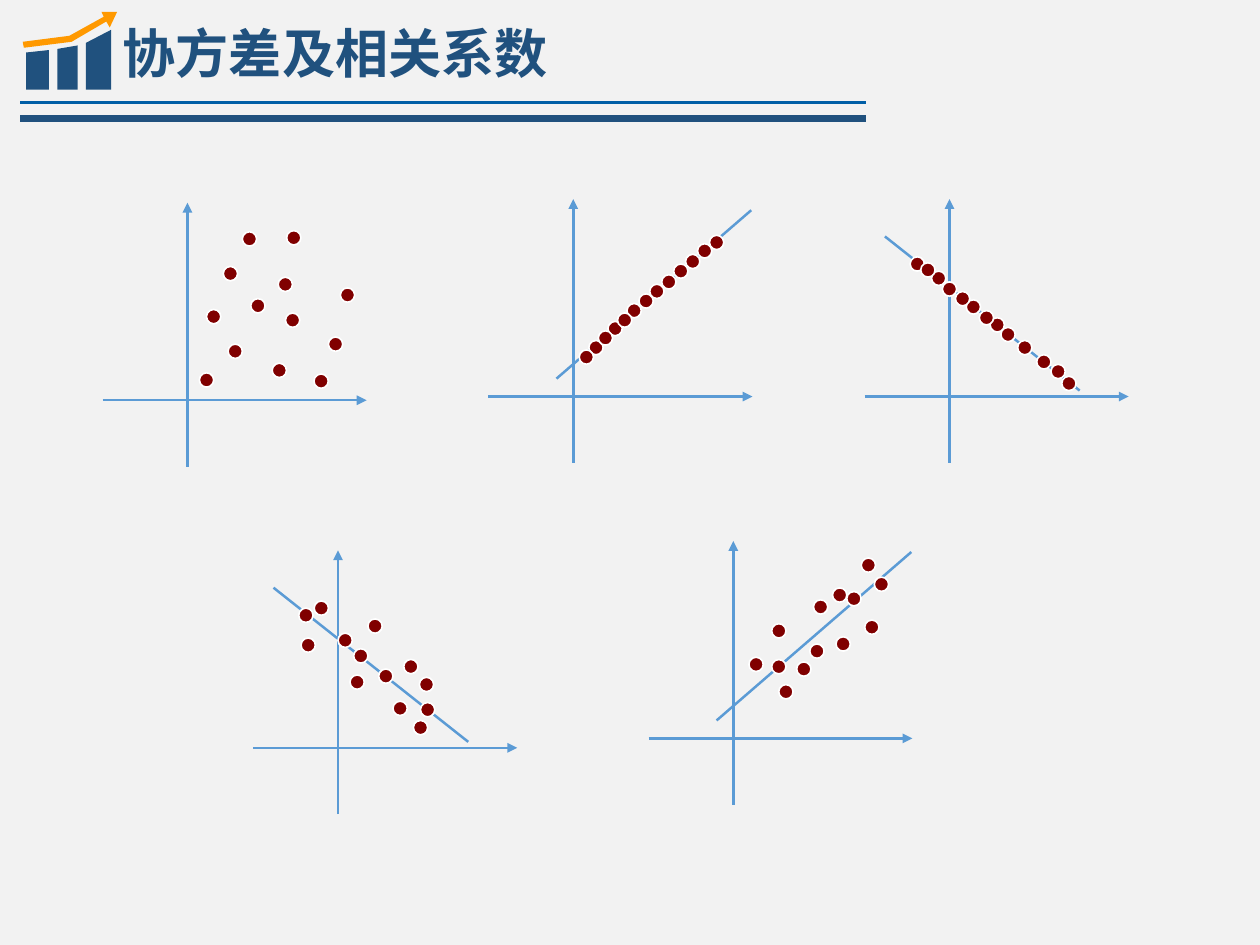
from pptx import Presentation
from pptx import util as u
from pptx.dml.color import RGBColor
from pptx.enum import shapes, text
from pptx.oxml.ns import qn
from lxml import etree

COLORS = {
    "background": "F2F2F2", "navy": "20517E", "rule": "005EA6", "arrow": "FF9900",
    "axis": "5B9BD5", "dot": "800000", "outline": "FFFFFF",
}
FONT = "Noto Sans CJK JP"
DOT = 8.64
RISING = ((-10.1, 10.8), (107.3, 112.3))
FALLING = ((-38.9, 96.5), (78.5, 3.6))
ARROW = [(61.2, 7.2), (62.6, 10.1), (41.8, 21.6), (13.7, 25.2), (14.4, 28.8),
         (43.2, 25.2), (64.1, 13), (66.2, 16.6), (70.6, 7.2)]
BARS = [(51.8, 67, 25.9, 18), (34.6, 46.8, 29.5, 27.4), (15.8, 29.5, 31.7, 30.2)]
BAR_BASE = 54
PLOTS = [
    ((113, 241.2), None,
     [(28.8, 29.5), (15.8, 50.4), (25.9, 76.3), (11.5, 12.2), (64.1, 97.9),
      (63.4, 48.2), (59, 69.8), (55.4, 18), (89.3, 33.8), (37.4, 97.2),
      (42.5, 56.9), (96.5, 63.4), (80.6, 11.5)]),
    ((345.6, 239), RISING,
     [(25.2, 41), (13.7, 29.5), (36.7, 51.8), (7.9, 23.8), (64.8, 75.6),
      (50.4, 63.4), (57.6, 69.1), (43.9, 57.6), (19.4, 35.3), (31, 46.1),
      (72, 81.4), (86.4, 92.9), (79.2, 87.8)]),
    ((572.4, 239), FALLING,
     [(28.8, 43.2), (35.3, 37.4), (65.5, 15.1), (14.4, 54), (0, 64.8),
      (56.9, 20.9), (7.9, 59), (45.4, 29.5), (72, 7.9), (22.3, 47.5),
      (-6.5, 71.3), (-19.4, 79.9), (-13, 76.3)]),
    ((203.8, 450.7), FALLING,
     [(28.8, 43.2), (43.9, 49), (49.7, 12.2), (13.7, 55.4), (4.3, 64.8),
      (53.3, 38.2), (22.3, 73.4), (37.4, 23.8), (54, 23), (11.5, 39.6),
      (-18, 61.9), (-19.4, 79.9), (-10.1, 84.2)]),
    ((442.1, 445), RISING,
     [(50.4, 52.6), (31.7, 28.1), (72.7, 84.2), (13.7, 44.6), (64.1, 86.4),
      (66.2, 56.9), (27.4, 64.8), (52.6, 79.2), (27.4, 43.2), (42.5, 41.8),
      (83.5, 67), (89.3, 92.9), (81.4, 104.4)]),
]


class Deck:
    """Holds the style and the current slide, and draws each kind of element."""

    def __init__(self, width, height):
        self.prs = Presentation()
        self.prs.slide_width, self.prs.slide_height = u.Pt(width), u.Pt(height)
        self.s = self.prs.slides.add_slide(self.prs.slide_layouts[5])
        self.fill(self.s.background, "background")

    def color(self, name):
        return RGBColor.from_string(COLORS[name])

    def fill(self, sp, name):
        sp.fill.solid()
        sp.fill.fore_color.rgb = self.color(name)

    def title(self, wording, left, top, width, height, size):
        sp = self.s.shapes.title
        sp.left, sp.top, sp.width, sp.height = map(u.Pt, (left, top, width, height))
        tf = sp.text_frame
        tf.text = wording
        tf.word_wrap = True
        tf.auto_size = text.MSO_AUTO_SIZE.NONE
        tf.vertical_anchor = text.MSO_ANCHOR.MIDDLE
        tf.margin_left = tf.margin_right = tf.margin_top = tf.margin_bottom = 0
        p = tf.paragraphs[0]
        p.alignment = text.PP_ALIGN.LEFT
        r = p.runs[0]
        r.font.name, r.font.size, r.font.bold = FONT, u.Pt(size), True
        r.font.color.rgb = self.color("navy")
        etree.SubElement(r.font._element, qn("a:ea")).set("typeface", FONT)

    def line(self, start, end, name="axis", weight=1.5, arrow=False, parent=None):
        sp = (parent or self.s).shapes.add_connector(
            shapes.MSO_CONNECTOR.STRAIGHT, *map(u.Pt, (*start, *end)))
        sp.line.color.rgb = self.color(name)
        sp.line.width = u.Pt(weight)
        if arrow:
            etree.SubElement(sp.line._get_or_add_ln(), qn("a:tailEnd")).set("type", "triangle")
        etree.SubElement(sp._element.spPr, qn("a:effectLst"))

    def outline(self, points, name):
        pts = [(u.Pt(x), u.Pt(y)) for x, y in points]
        builder = self.s.shapes.build_freeform(*pts[0])
        builder.add_line_segments(pts[1:], close=True)
        sp = builder.convert_to_shape()
        sp.shadow.inherit = False
        self.fill(sp, name)
        sp.line.fill.background()

    def dot(self, x, y, parent):
        sp = parent.shapes.add_shape(
            shapes.MSO_SHAPE.OVAL, *map(u.Pt, (x - DOT / 2, y - DOT / 2, DOT, DOT)))
        sp.shadow.inherit = False
        self.fill(sp, "dot")
        sp.line.color.rgb = self.color("outline")
        sp.line.width = u.Pt(1)

    def plot(self, origin, trend, dots):
        ox, oy = origin
        group = self.s.shapes.add_group_shape()
        self.line((ox - 51.1, oy), (ox + 108, oy), arrow=True, parent=group)
        self.line((ox, oy + 40), (ox, oy - 119), arrow=True, parent=group)
        if trend:
            start, end = [(ox + x, oy - y) for x, y in trend]
            self.line(start, end, parent=group)
        for x, y in dots:
            self.dot(ox + x, oy - y, group)


def main():
    deck = Deck(759.6, 569.52)
    deck.line((522, 61.9), (12.2, 61.9), "rule", 2)
    deck.line((522, 71.3), (12.2, 71.3), "navy", 4.5)
    deck.outline(ARROW, "arrow")
    for left, right, top_left, top_right in BARS:
        deck.outline([(left, BAR_BASE), (right, BAR_BASE), (right, top_right),
                      (left, top_left)], "navy")
    deck.title("协方差及相关系数", 74, 4.2, 377, 54, 32)
    for origin, trend, dots in PLOTS:
        deck.plot(origin, trend, dots)
    deck.prs.save("out.pptx")


if __name__ == "__main__":
    main()
